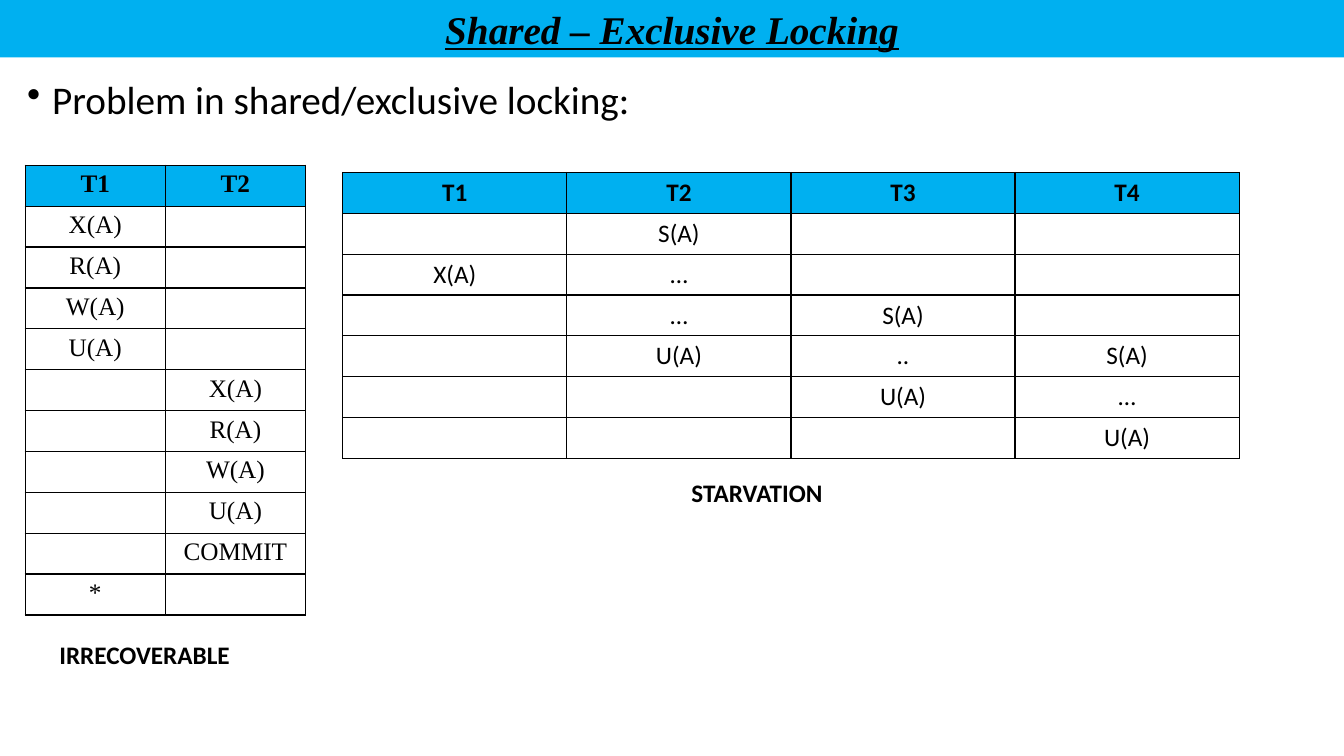
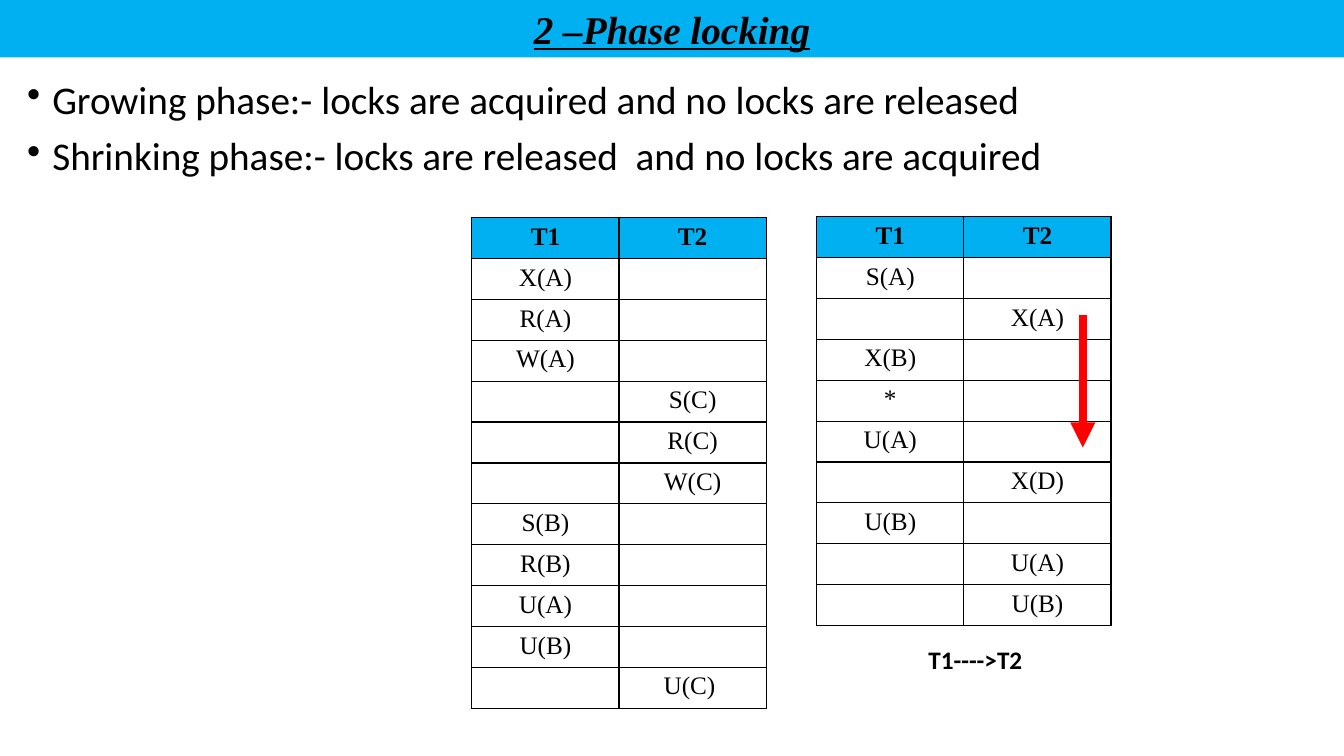
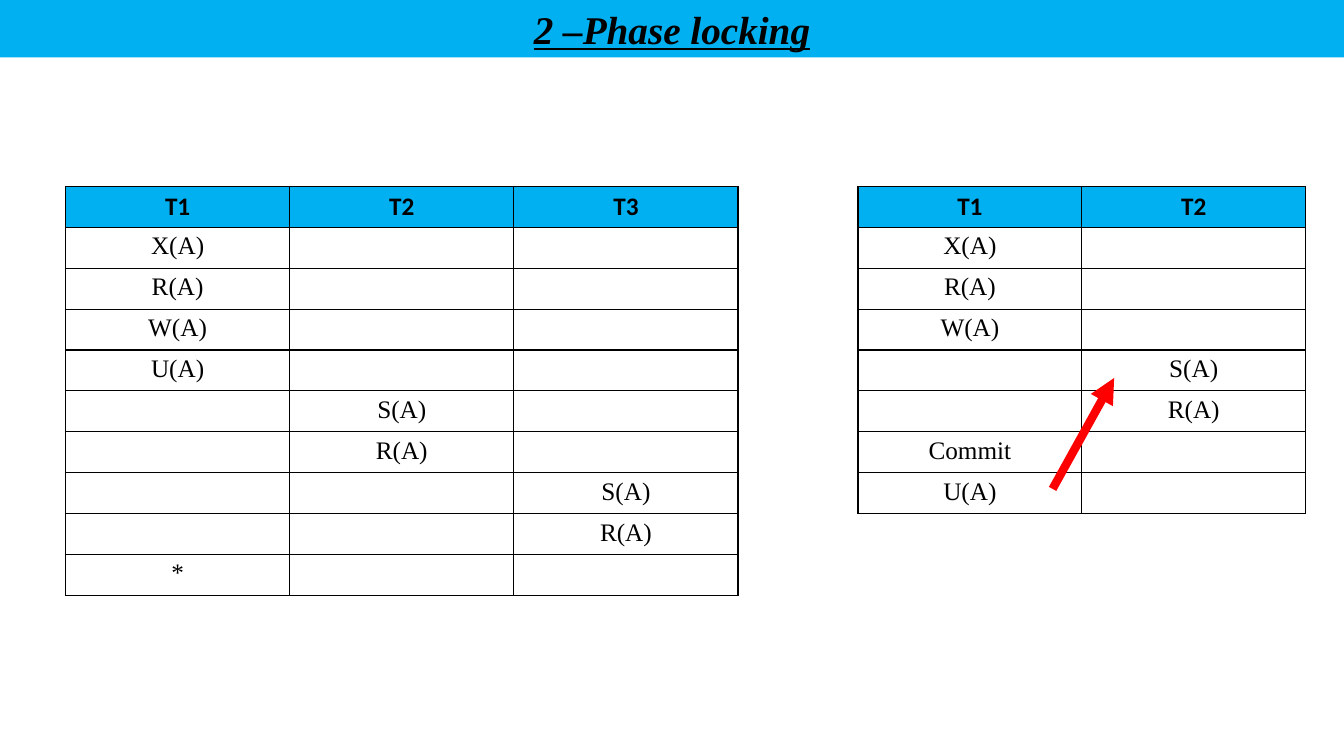
from lxml.etree import SubElement
from pptx import Presentation
from pptx.dml.color import RGBColor
from pptx.enum.shapes import MSO_CONNECTOR, MSO_SHAPE
from pptx.enum.text import MSO_ANCHOR, PP_ALIGN
from pptx.oxml.ns import qn
from pptx.util import Inches, Pt

COLORS = {"band": "00B0F0", "text": "000000", "border": "000000", "arrow": "FF0000"}
SANS = "Calibri"
SERIF = "Times New Roman"


class LockingDeck:
    """Builds slides with a title band, bullets, schedules, captions and arrows."""

    def __init__(self):
        self.deck = Presentation()
        self.deck.slide_width = Inches(13.33)
        self.deck.slide_height = Inches(7.5)
        self.page = None

    def color(self, name):
        return RGBColor.from_string(COLORS[name])

    def add_span(self, para, text, size, font, bold=False):
        span = para.add_run()
        span.text = text
        span.font.name = font
        span.font.size = Pt(size)
        span.font.bold = bold
        span.font.color.rgb = self.color("text")
        return span

    def start_page(self, title):
        self.page = self.deck.slides.add_slide(self.deck.slide_layouts[6])
        band = self.page.shapes.add_shape(
            MSO_SHAPE.RECTANGLE, 0, 0, self.deck.slide_width, Inches(0.57))
        band.shadow.inherit = False
        band.fill.solid()
        band.fill.fore_color.rgb = self.color("band")
        band.line.fill.background()
        band.text_frame.word_wrap = True
        band.text_frame.vertical_anchor = MSO_ANCHOR.MIDDLE
        para = band.text_frame.paragraphs[0]
        para.alignment = PP_ALIGN.CENTER
        span = self.add_span(para, title, 28, SERIF, bold=True)
        span.font.italic = True
        span.font.underline = True

    def text_frame(self, left, top, width, height):
        box = self.page.shapes.add_textbox(
            Inches(left), Inches(top), Inches(width), Inches(height))
        box.text_frame.word_wrap = True
        return box.text_frame

    def bullets(self, width, lines):
        frame = self.text_frame(0.17, 0.75, width, 4.76)
        for index, line in enumerate(lines):
            para = frame.add_paragraph() if index else frame.paragraphs[0]
            properties = para._p.get_or_add_pPr()
            properties.set("marL", str(Inches(0.25)))
            properties.set("indent", str(-Inches(0.25)))
            SubElement(properties, qn("a:buChar"), char="•")
            para.line_spacing = 0.9
            if index:
                para.space_before = Pt(10)
            self.add_span(para, line, 28, SANS)

    def caption(self, left, top, width, text):
        frame = self.text_frame(left, top, width, 0.4)
        self.add_span(frame.paragraphs[0], text, 18, SANS, bold=True)

    def border(self, cell):
        properties = cell._tc.get_or_add_tcPr()
        for side in ("lnL", "lnR", "lnT", "lnB"):
            line = SubElement(properties, qn(f"a:{side}"), w=str(Pt(1)))
            fill = SubElement(line, qn("a:solidFill"))
            SubElement(fill, qn("a:srgbClr"), val=COLORS["border"])

    def schedule(self, left, top, width, rows, head_font=SERIF, body_font=SERIF):
        grid = [row.split("|") for row in rows]
        row_height = Pt(29.2)
        table = self.page.shapes.add_table(
            len(grid), len(grid[0]), Inches(left), Inches(top),
            Inches(width), row_height * len(grid)).table
        table.first_row = False
        table.horz_banding = False
        for row_index, texts in enumerate(grid):
            table.rows[row_index].height = row_height
            is_head = row_index == 0
            for column_index, text in enumerate(texts):
                cell = table.cell(row_index, column_index)
                self.border(cell)
                if is_head:
                    cell.fill.solid()
                    cell.fill.fore_color.rgb = self.color("band")
                else:
                    cell.fill.background()
                para = cell.text_frame.paragraphs[0]
                para.alignment = PP_ALIGN.CENTER
                if text:
                    font = head_font if is_head else body_font
                    self.add_span(para, text, 18, font, bold=is_head)

    def arrow(self, start, end):
        connector = self.page.shapes.add_connector(
            MSO_CONNECTOR.STRAIGHT, *(Inches(value) for value in start + end))
        connector.line.color.rgb = self.color("arrow")
        connector.line.width = Pt(6)
        properties = connector._element.spPr
        SubElement(properties.find(qn("a:ln")), qn("a:tailEnd"), type="triangle")
        SubElement(properties, qn("a:effectLst"))


def main():
    deck = LockingDeck()

    deck.start_page("Shared – Exclusive Locking")
    deck.bullets(11.5, ["Problem in shared/exclusive locking:"])
    deck.schedule(0.25, 1.64, 2.78, [
        "T1|T2", "X(A)|", "R(A)|", "W(A)|", "U(A)|",
        "|X(A)", "|R(A)", "|W(A)", "|U(A)", "|COMMIT", "*|"])
    deck.caption(0.49, 6.29, 1.93, "IRRECOVERABLE")
    deck.schedule(3.4, 1.71, 8.89, [
        "T1|T2|T3|T4", "|S(A)||", "X(A)|…||", "|…|S(A)|",
        "|U(A)|..|S(A)", "||U(A)|…", "|||U(A)"], SANS, SANS)
    deck.caption(6.76, 4.69, 2.39, "STARVATION")

    deck.start_page("2 –Phase locking")
    deck.bullets(12.79, [
        "Growing phase:- locks are acquired and no locks are released",
        "Shrinking phase:- locks are released  and no locks are acquired"])
    deck.schedule(4.68, 2.16, 2.92, [
        "T1|T2", "X(A)|", "R(A)|", "W(A)|", "|S(C)", "|R(C)", "|W(C)",
        "S(B)|", "R(B)|", "U(A)|", "U(B)|", "|U(C) "])
    deck.schedule(8.1, 2.15, 2.92, [
        "T1|T2", "S(A)|", "|X(A)", "X(B)|", "*|",
        "U(A)|", "|X(D)", "U(B)|", "|U(A)", "|U(B)"])
    deck.caption(9.11, 6.34, 1.9, "T1---->T2")
    deck.arrow((10.74, 3.13), (10.74, 4.44))

    deck.start_page("2 –Phase locking")
    deck.schedule(0.65, 1.85, 6.67, [
        "T1|T2|T3", "X(A)||", "R(A)||", "W(A)||", "U(A)||",
        "|S(A)|", "|R(A)|", "||S(A)", "||R(A)", "*||"], head_font=SANS)
    deck.schedule(8.51, 1.85, 4.44, [
        "T1|T2", "X(A)|", "R(A)|", "W(A)|",
        "|S(A)", "|R(A)", "Commit|", "U(A)|"], head_font=SANS)
    deck.arrow((10.44, 4.85), (11.05, 3.75))

    deck.deck.save("out.pptx")


if __name__ == "__main__":
    main()
